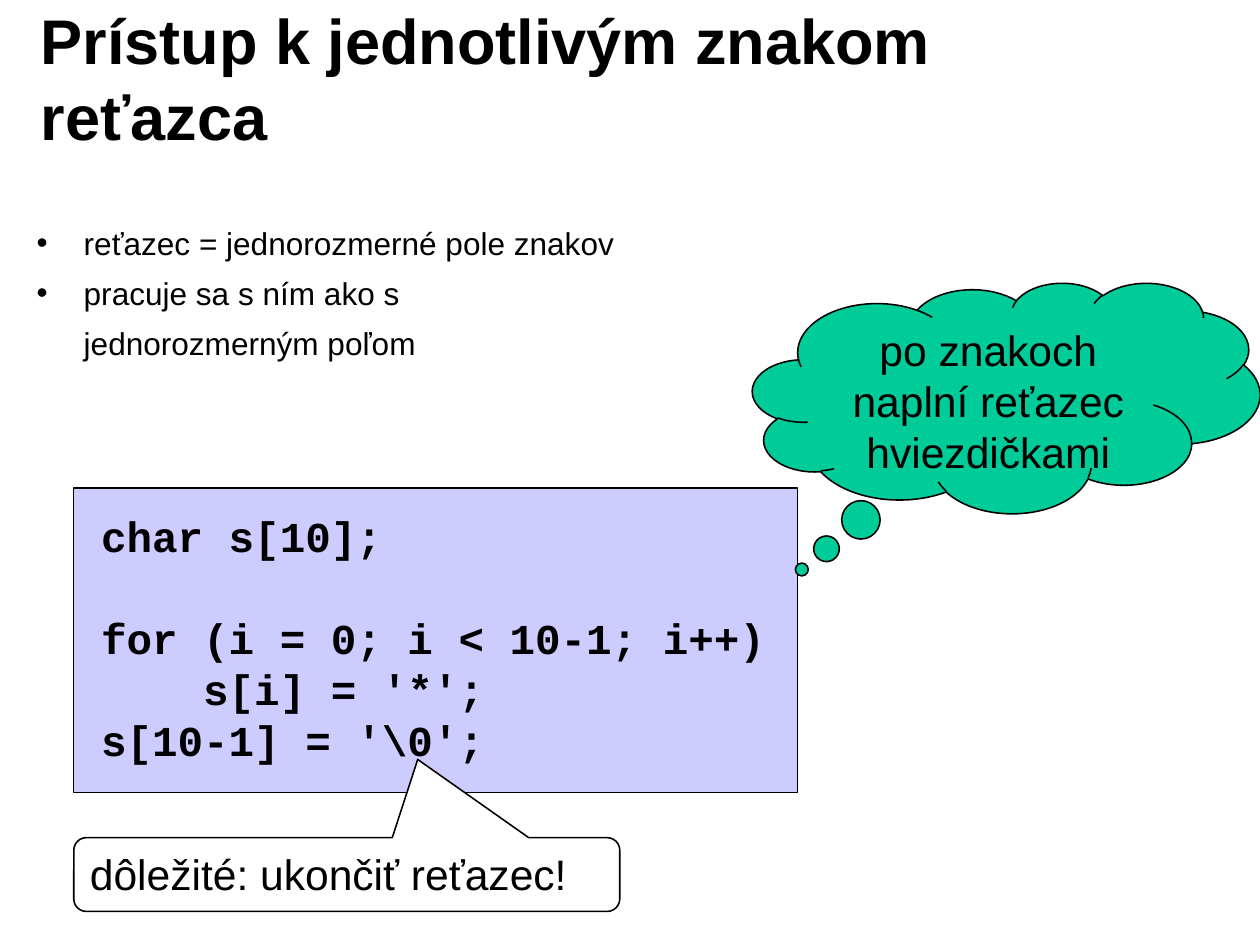
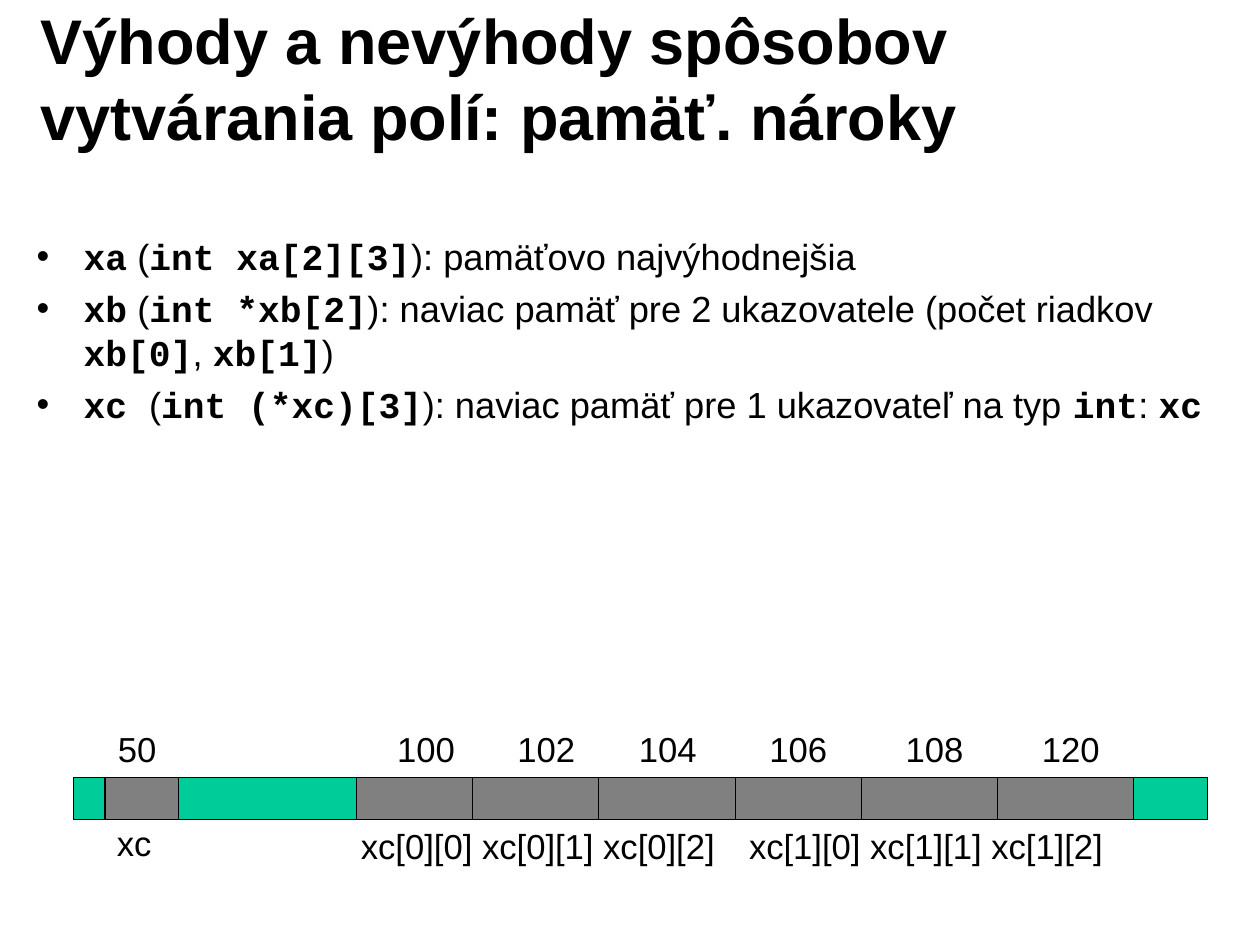
from dataclasses import dataclass

from lxml import etree
from pptx import Presentation
from pptx.dml import color as dml
from pptx.enum import shapes, text
from pptx.oxml import ns
from pptx.util import Pt

COLORS = {
    "text": "000000",
    "line": "000000",
    "paper": "FFFFFF",
    "code": "CCCCFF",
    "green": "00CC99",
    "gray": "808080",
}
SANS, MONO = "Arial", "Courier New"
LINE_SPACING = 1.0
BULLET_INDENT = 29.8
MEMORY_TOP, MEMORY_HEIGHT = 493.2, 26.6
LABEL_HEIGHT = 33.8


@dataclass(frozen=True)
class Box:
    left: float
    top: float
    width: float
    height: float

    def lengths(self) -> tuple:
        return Pt(self.left), Pt(self.top), Pt(self.width), Pt(self.height)


@dataclass(frozen=True)
class Item:
    content: str
    bullet: bool = True


@dataclass(frozen=True)
class Segment:
    left: float
    right: float
    fill: str


@dataclass(frozen=True)
class Label:
    content: str
    left: float
    top: float
    width: float


TITLE_BOX = Box(18, 12.2, 641.5, 73.4)

SEGMENTS = [
    Segment(226.4, 719.4, "gray"),
    Segment(719.2, 766.1, "green"),
    Segment(46.8, 66.6, "green"),
    Segment(66.6, 113.2, "gray"),
    Segment(113.2, 226.4, "green"),
]
DIVIDERS = [299.5, 379.4, 466.4, 546.3, 632.9]
ADDRESS_TOP, ADDRESS_WIDTH = 457.9, 56
ADDRESSES = {"100": 244.8, "102": 321.1, "104": 398.2,
             "106": 481, "108": 567.4, "120": 653.8}
LABELS = [
    Label("50", 67.7, ADDRESS_TOP, 44),
    *(Label(address, left, ADDRESS_TOP, ADDRESS_WIDTH) for address, left in ADDRESSES.items()),
    Label("xc", 67, 517.7, 44),
    Label("xc[0][0] xc[0][1] xc[0][2]", 221.8, 519.8, 245),
    Label("xc[1][0] xc[1][1] xc[1][2]", 468, 519.8, 245),
]


def rgb(name: str) -> dml.RGBColor:
    return dml.RGBColor.from_string(COLORS[name])


def set_frame(frame, side: float = 7.9, edge: float = 4.3,
              anchor=text.MSO_ANCHOR.TOP) -> None:
    frame.word_wrap = True
    frame.auto_size = text.MSO_AUTO_SIZE.NONE
    frame.vertical_anchor = anchor
    frame.margin_left = frame.margin_right = Pt(side)
    frame.margin_top = frame.margin_bottom = Pt(edge)


def format_paragraph(paragraph, size: float, name: str = SANS, bold: bool = False,
                     align=text.PP_ALIGN.LEFT, before: float = 0) -> None:
    paragraph.alignment = align
    paragraph.line_spacing = LINE_SPACING
    paragraph.space_before = Pt(before)
    font = paragraph.font
    font.size, font.name, font.bold = Pt(size), name, bold
    font.color.rgb = rgb("text")


def set_bullet(paragraph, bullet: bool) -> None:
    properties = paragraph._p.get_or_add_pPr()
    properties.set("marL", str(Pt(BULLET_INDENT)))
    properties.set("indent", str(-Pt(BULLET_INDENT) if bullet else 0))
    if bullet:
        etree.SubElement(properties, ns.qn("a:buFont")).set("typeface", SANS)
        etree.SubElement(properties, ns.qn("a:buChar")).set("char", "•")
    else:
        etree.SubElement(properties, ns.qn("a:buNone"))


def add_runs(paragraph, content: str) -> None:
    for index, part in enumerate(content.split("`")):
        if part:
            run = paragraph.add_run()
            run.text = part
            if index % 2:
                run.font.name, run.font.bold = MONO, True


def add_slide(presentation, title: str, body: Box, items: list[Item], size: float, before: float):
    slide = presentation.slides.add_slide(presentation.slide_layouts[1])
    heading, content = slide.shapes.title, slide.placeholders[1]
    for shape, box in ((heading, TITLE_BOX), (content, body)):
        shape.left, shape.top, shape.width, shape.height = box.lengths()
    set_frame(heading.text_frame, anchor=text.MSO_ANCHOR.MIDDLE)
    heading.text_frame.text = title
    format_paragraph(heading.text_frame.paragraphs[0], 40, bold=True)
    frame = content.text_frame
    set_frame(frame)
    for index, item in enumerate(items):
        paragraph = frame.add_paragraph() if index else frame.paragraphs[0]
        add_runs(paragraph, item.content)
        set_bullet(paragraph, item.bullet)
        format_paragraph(paragraph, size, before=before if index else 0)
    return slide


def add_shape(slide, kind, box: Box, fill: str, line_width: float = 0.75):
    shape = slide.shapes.add_shape(kind, *box.lengths())
    shape.shadow.inherit = False
    shape.fill.solid()
    shape.fill.fore_color.rgb = rgb(fill)
    shape.line.color.rgb = rgb("line")
    shape.line.width = Pt(line_width)
    return shape


def add_callout(slide, kind, box: Box, fill: str, content: str,
                adjustments: tuple[float, ...], align) -> None:
    shape = add_shape(slide, kind, box, fill, 1)
    for index, value in enumerate(adjustments):
        shape.adjustments[index] = value
    set_frame(shape.text_frame)
    shape.text_frame.text = content
    format_paragraph(shape.text_frame.paragraphs[0], 27, align=align)


def add_code(slide, box: Box, blocks: list[list[str]], size: float) -> None:
    frame = slide.shapes.add_textbox(*box.lengths()).text_frame
    set_frame(frame)
    lines = [(line, block > 0 and row == 0)
             for block, rows in enumerate(blocks) for row, line in enumerate(rows)]
    for index, (line, gap) in enumerate(lines):
        paragraph = frame.add_paragraph() if index else frame.paragraphs[0]
        paragraph.text = line
        format_paragraph(paragraph, size, MONO, True, before=1.2 * size if gap else 0)


def add_label(slide, label: Label) -> None:
    box = Box(label.left, label.top, label.width, LABEL_HEIGHT)
    frame = slide.shapes.add_textbox(*box.lengths()).text_frame
    set_frame(frame, side=7.2, edge=3.6)
    frame.text = label.content
    format_paragraph(frame.paragraphs[0], 22)


def add_divider(slide, x: float) -> None:
    line = slide.shapes.add_connector(shapes.MSO_CONNECTOR.STRAIGHT, Pt(x), Pt(MEMORY_TOP),
                                      Pt(x), Pt(MEMORY_TOP + MEMORY_HEIGHT))
    line.line.color.rgb = rgb("line")
    line.line.width = Pt(0.75)
    etree.SubElement(line._element.spPr, ns.qn("a:effectLst"))


def build_access_slide(presentation) -> None:
    items = [
        Item("reťazec = jednorozmerné pole znakov"),
        Item("pracuje sa s ním ako s"),
        Item("jednorozmerným poľom", bullet=False),
    ]
    slide = add_slide(presentation, "Prístup k jednotlivým znakom reťazca",
                      Box(15.4, 137.5, 767.5, 95), items, 20, 8)
    kinds = shapes.MSO_SHAPE
    add_shape(slide, kinds.RECTANGLE, Box(46.8, 309.6, 459.2, 193), "code")
    add_code(slide, Box(56.2, 319, 446, 170), [
        ["char s[10];"],
        ["for (i = 0; i < 10-1; i++)", "    s[i] = '*';", "s[10-1] = '\\0';"],
    ], 27)
    add_callout(slide, kinds.CLOUD_CALLOUT, Box(477.4, 179.3, 321.8, 146.2), "green",
                "po znakoch naplní reťazec hviezdičkami", (-0.403, 0.745), text.PP_ALIGN.CENTER)
    add_callout(slide, kinds.ROUNDED_RECTANGULAR_CALLOUT, Box(46.8, 531.4, 346.3, 46.8), "paper",
                "dôležité: ukončiť reťazec!", (0.13, -1.56, 0.17), text.PP_ALIGN.LEFT)


def build_memory_slide(presentation) -> None:
    items = [
        Item("`xa` (`int xa[2][3]`): pamäťovo najvýhodnejšia"),
        Item("`xb` (`int *xb[2]`): naviac pamäť pre 2 ukazovatele (počet riadkov `xb[0]`, `xb[1]`)"),
        Item("`xc `(`int (*xc)[3]`): naviac pamäť pre 1 ukazovateľ na typ `int`: `xc`"),
    ]
    slide = add_slide(presentation, "Výhody a nevýhody spôsobov vytvárania polí: pamäť. nároky",
                      Box(15.4, 144, 767.5, 293.8), items, 23, 5.8)
    for segment in SEGMENTS:
        box = Box(segment.left, MEMORY_TOP, segment.right - segment.left, MEMORY_HEIGHT)
        add_shape(slide, shapes.MSO_SHAPE.RECTANGLE, box, segment.fill)
    for x in DIVIDERS:
        add_divider(slide, x)
    for label in LABELS:
        add_label(slide, label)


def main() -> None:
    presentation = Presentation()
    presentation.slide_width, presentation.slide_height = Pt(799.2), Pt(597.6)
    build_access_slide(presentation)
    build_memory_slide(presentation)
    presentation.save("out.pptx")


if __name__ == "__main__":
    main()
